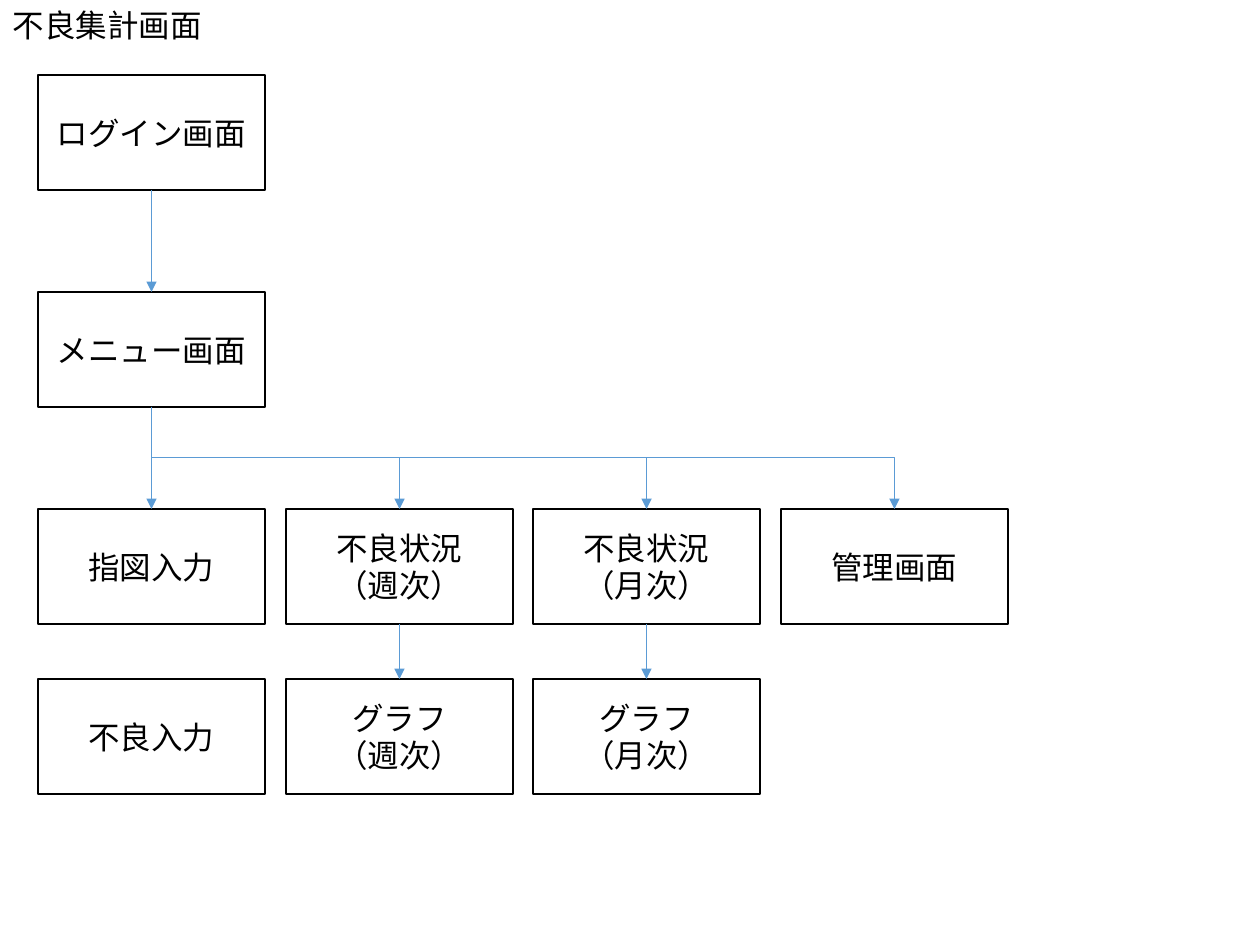
from dataclasses import dataclass

from lxml import etree
from pptx import Presentation
from pptx.dml.color import RGBColor
from pptx.enum.shapes import MSO_CONNECTOR, MSO_SHAPE
from pptx.enum.text import MSO_ANCHOR, MSO_AUTO_SIZE, PP_ALIGN
from pptx.oxml.ns import qn
from pptx.shapes.autoshape import Shape
from pptx.slide import Slide
from pptx.text.text import TextFrame
from pptx.util import Emu, Pt

RECTANGLE = MSO_SHAPE.RECTANGLE
STRAIGHT, ELBOW = MSO_CONNECTOR.STRAIGHT, MSO_CONNECTOR.ELBOW
LEFT, CENTER = PP_ALIGN.LEFT, PP_ALIGN.CENTER
TOP, MIDDLE = MSO_ANCHOR.TOP, MSO_ANCHOR.MIDDLE
TOP_SIDE, BOTTOM_SIDE = 0, 2

COLORS = {"ink": "000000", "arrow": "5B9BD5"}
PX_PER_INCH = 126
FIRST_LEFT, LAST_LEFT, COLUMN_COUNT = 38, 781, 4
ROW_TOPS = (75, 292, 509, 679)
BOX_WIDTH, BOX_HEIGHT = 227, 115
TITLE_ONLY = 5


@dataclass(frozen=True)
class Screen:
    key: str
    column: int
    row: int
    text: str


SCREENS = (
    Screen("login", 0, 0, "ログイン画面"),
    Screen("menu", 0, 1, "メニュー画面"),
    Screen("order entry", 0, 2, "指図入力"),
    Screen("weekly status", 1, 2, "不良状況\n（週次）"),
    Screen("monthly status", 2, 2, "不良状況\n（月次）"),
    Screen("admin", 3, 2, "管理画面"),
    Screen("defect entry", 0, 3, "不良入力"),
    Screen("weekly chart", 1, 3, "グラフ\n（週次）"),
    Screen("monthly chart", 2, 3, "グラフ\n（月次）"),
)
FLOWS = (
    ("login", "menu"),
    ("menu", "order entry"),
    ("menu", "weekly status"),
    ("menu", "monthly status"),
    ("menu", "admin"),
    ("weekly status", "weekly chart"),
    ("monthly status", "monthly chart"),
)


def px(length: int) -> Emu:
    return Emu(round(length * 914400 / PX_PER_INCH))


def color(name: str) -> RGBColor:
    return RGBColor.from_string(COLORS[name])


def column_left(column: int) -> int:
    return FIRST_LEFT + round(column * (LAST_LEFT - FIRST_LEFT) / (COLUMN_COUNT - 1))


def write(frame: TextFrame, text: str, *, align: PP_ALIGN, anchor: MSO_ANCHOR,
          wrap: bool = True, size: int = 18, font: str = "Calibri") -> None:
    frame.text = text
    frame.word_wrap = wrap
    frame.vertical_anchor = anchor
    for para in frame.paragraphs:
        para.alignment = align
        para.line_spacing = 1.0
        for span in para.runs:
            span.font.name = font
            span.font.size = Pt(size)
            span.font.color.rgb = color("ink")


def add_title(page: Slide, text: str) -> None:
    title = page.shapes.title
    title.left, title.top, title.width, title.height = px(0), px(0), px(217), px(50)
    write(title.text_frame, text, align=LEFT, anchor=TOP, wrap=False)
    title.text_frame.auto_size = MSO_AUTO_SIZE.SHAPE_TO_FIT_TEXT


def add_screen(page: Slide, screen: Screen) -> Shape:
    box = page.shapes.add_shape(
        RECTANGLE, px(column_left(screen.column)), px(ROW_TOPS[screen.row]),
        px(BOX_WIDTH), px(BOX_HEIGHT))
    box.shadow.inherit = False
    box.fill.background()
    box.line.color.rgb = color("ink")
    box.line.width = Pt(1)
    write(box.text_frame, screen.text, align=CENTER, anchor=MIDDLE)
    return box


def add_arrow(page: Slide, source: Shape, target: Shape) -> None:
    """Join bottom to top; an elbow is turned so that it leaves downwards."""
    start_x, start_y = source.left + source.width // 2, source.top + source.height
    end_x, end_y = target.left + target.width // 2, target.top
    across, down = end_x - start_x, end_y - start_y
    arrow = page.shapes.add_connector(
        ELBOW if across else STRAIGHT, start_x, start_y, end_x, end_y)
    arrow.begin_connect(source, BOTTOM_SIDE)
    arrow.end_connect(target, TOP_SIDE)
    arrow.line.color.rgb = color("arrow")
    arrow.line.width = Pt(0.5)
    properties = arrow.element.spPr
    if across:
        arrow.left = Emu(start_x + (across - down) // 2)
        arrow.top = Emu(start_y + (down - across) // 2)
        arrow.width, arrow.height = Emu(down), Emu(across)
        transform = properties.find(qn("a:xfrm"))
        transform.set("rot", str(270 * 60000))
        transform.set("flipH", "1")
    etree.SubElement(properties.find(qn("a:ln")), qn("a:tailEnd"), type="triangle")
    etree.SubElement(properties, qn("a:effectLst"))


def main() -> None:
    deck = Presentation()
    deck.slide_width, deck.slide_height = px(1260), px(945)
    page = deck.slides.add_slide(deck.slide_layouts[TITLE_ONLY])
    add_title(page, "不良集計画面")
    boxes = {screen.key: add_screen(page, screen) for screen in SCREENS}
    for source, target in FLOWS:
        add_arrow(page, boxes[source], boxes[target])
    deck.save("out.pptx")


if __name__ == "__main__":
    main()
